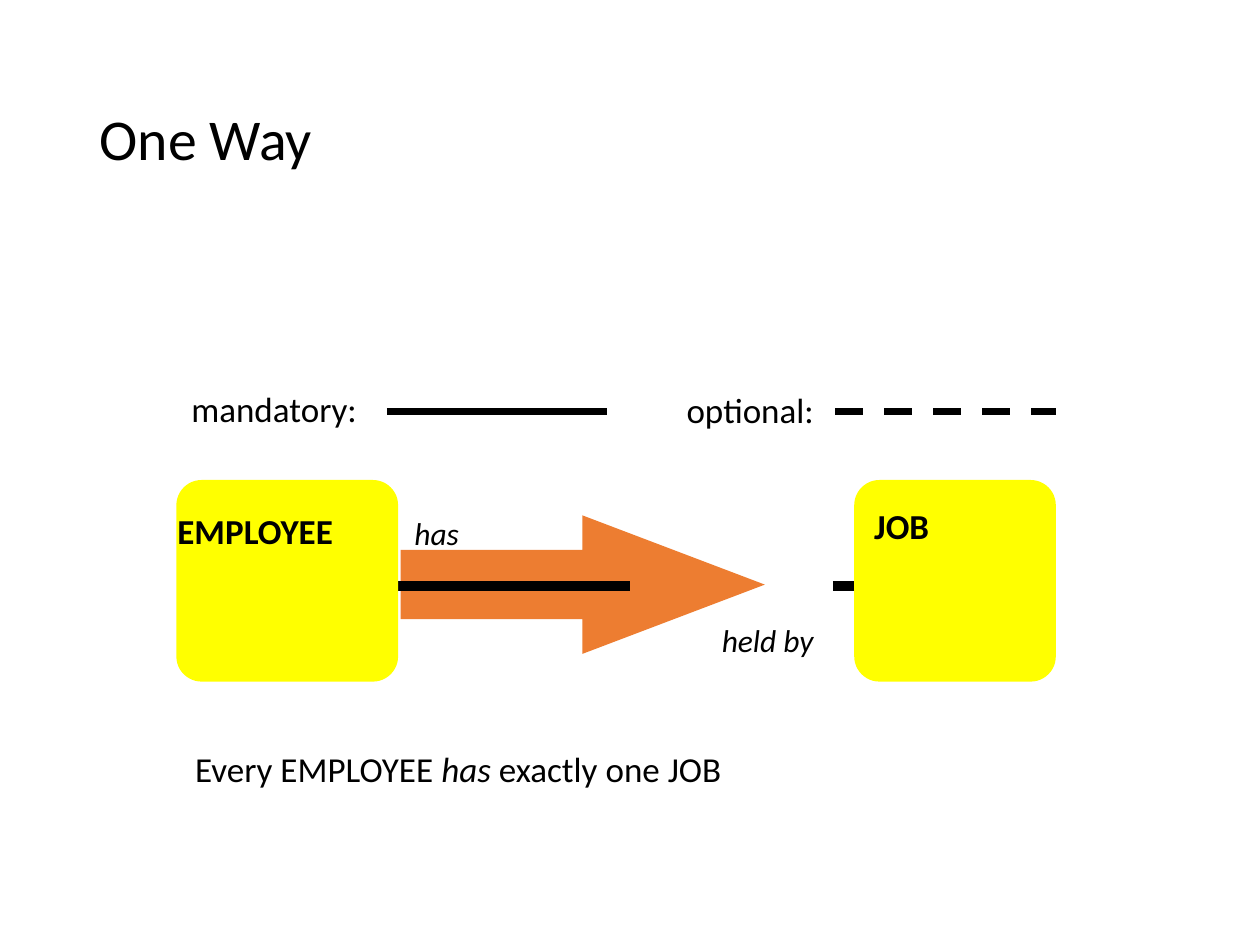
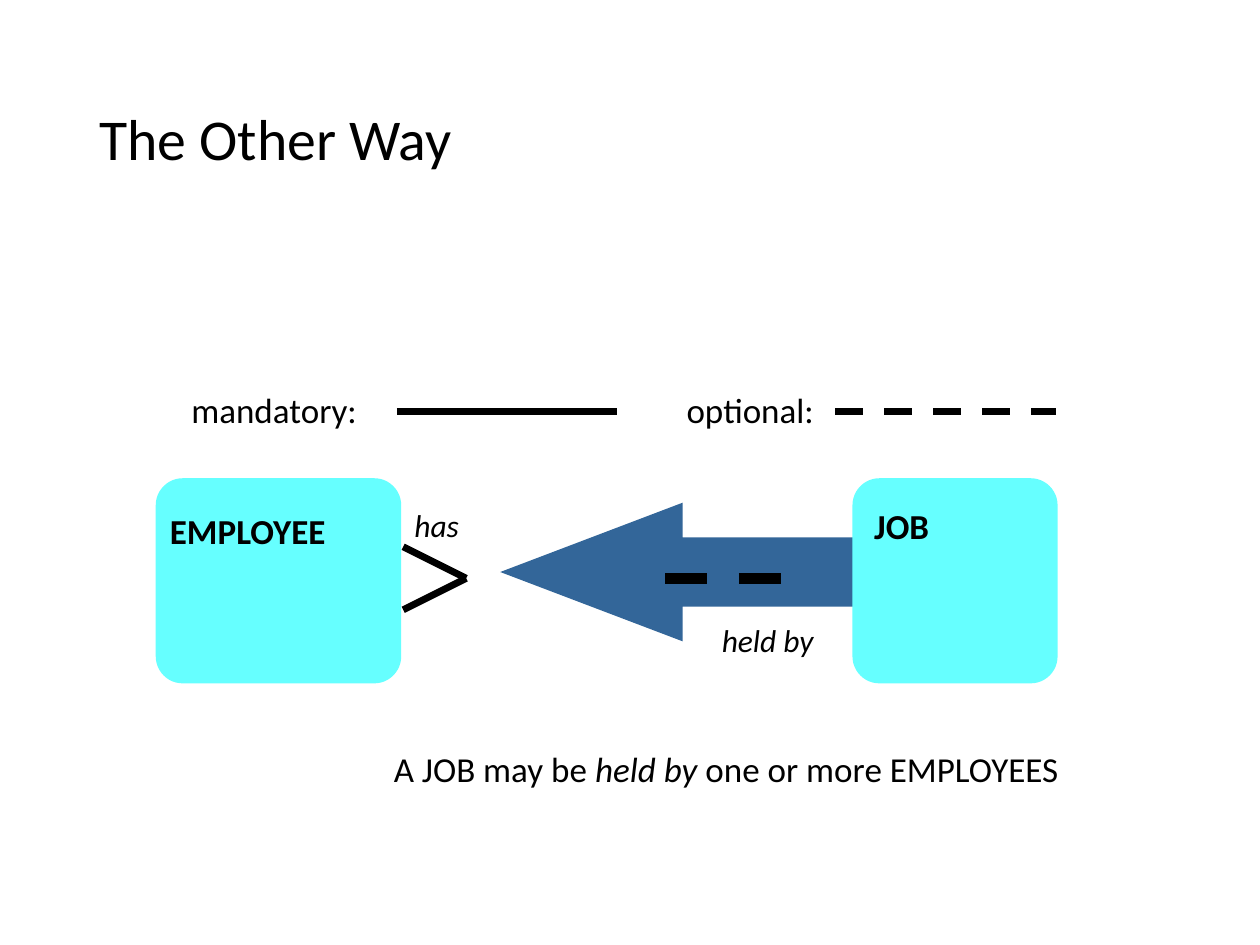
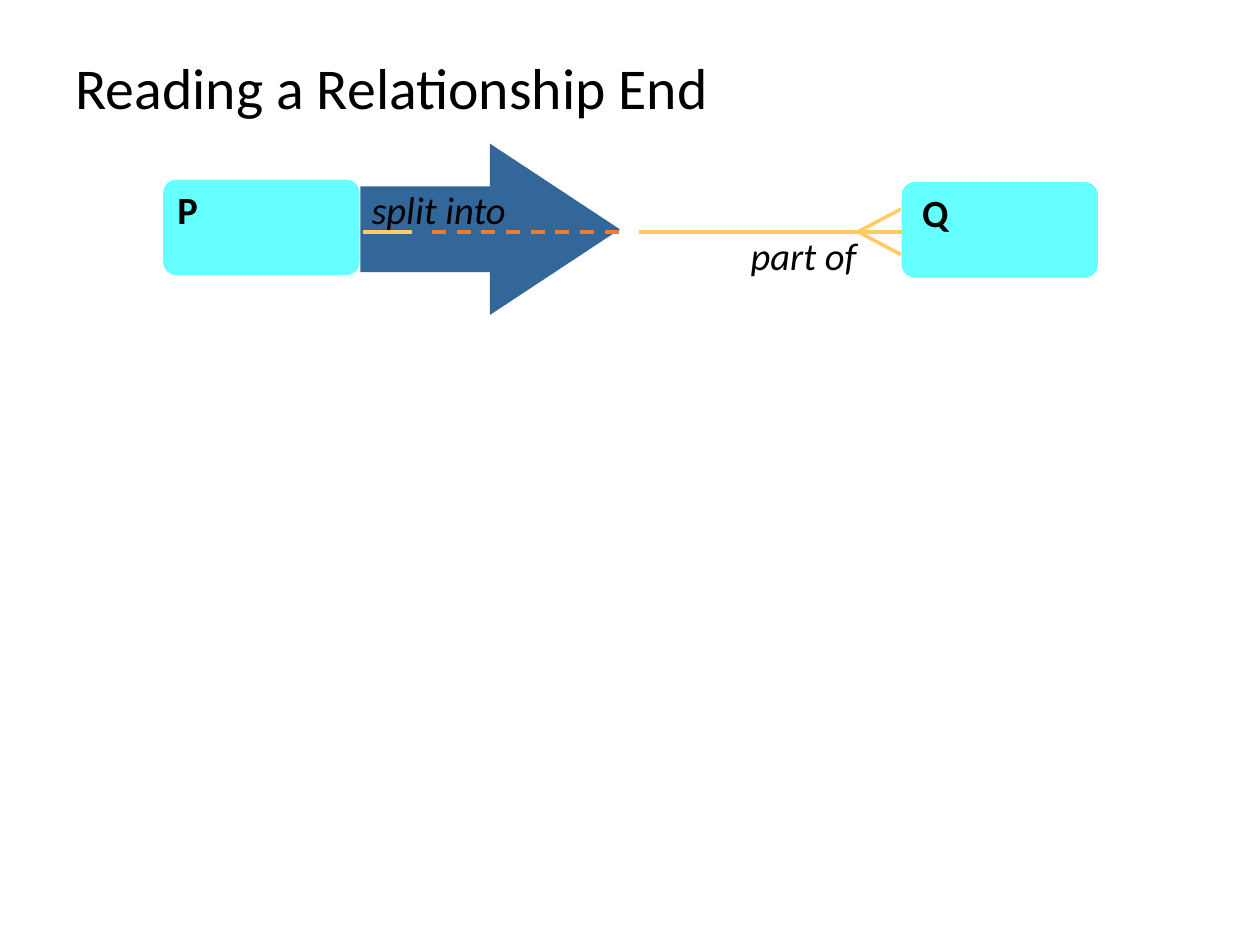
"""Build three slides that explain how to read an entity relationship."""
from lxml import etree
from pptx import Presentation
from pptx import util as u
from pptx.dml.color import RGBColor
from pptx.enum import dml, shapes, text
from pptx.oxml import ns

COLORS = {
    "ink": "000000",
    "yellow": "FFFF00",
    "cyan": "66FFFF",
    "orange": "ED7D31",
    "blue": "336699",
    "gold": "FFCB65",
}
FONT = "Calibri"
TITLE_SIZE = 33
TITLE_BOX = (0.69, 0.4, 8.62, 1.45)
CAPTION_BOX = (1.45, 5.91, 7.05, 0.42)
JOB_BOX = (6.78, 3.81, 1.6, 1.6)
JOB_LABEL = (6.84, 3.98, 0.83, 0.42)
HELD_BY_LABEL = (5.63, 4.9, 1.62, 0.39)
RIGHT = shapes.MSO_SHAPE.RIGHT_ARROW
LEFT = shapes.MSO_SHAPE.LEFT_ARROW


def color(name):
    """Return the named colour."""
    return RGBColor.from_string(COLORS[name])


def inches(box):
    """Turn a tuple of numbers into lengths."""
    return [u.Inches(value) for value in box]


def format_span(span, size, bold=False, italic=False):
    """Give a run the deck's font."""
    span.font.name = FONT
    span.font.size = u.Pt(size)
    span.font.bold = bold
    span.font.italic = italic
    span.font.color.rgb = color("ink")


def add_page(deck, title, box=TITLE_BOX):
    """Add a title-only slide and place its title."""
    page = deck.slides.add_slide(deck.slide_layouts[5])
    holder = page.shapes.title
    holder.left, holder.top, holder.width, holder.height = inches(box)
    frame = holder.text_frame
    frame.text = title
    frame.auto_size = text.MSO_AUTO_SIZE.NONE
    frame.vertical_anchor = text.MSO_ANCHOR.MIDDLE
    para = frame.paragraphs[0]
    para.alignment = text.PP_ALIGN.LEFT
    para.line_spacing = 0.9
    format_span(para.runs[0], TITLE_SIZE)
    return page


def add_label(canvas, box, parts, size=20, bold=False, italic=False,
              align=text.PP_ALIGN.LEFT):
    """Add a line of text; every second part has the opposite slant."""
    frame = canvas.add_textbox(*inches(box)).text_frame
    frame.word_wrap = True
    para = frame.paragraphs[0]
    para.alignment = align
    para.line_spacing = 0.95
    for index, part in enumerate(parts):
        span = para.add_run()
        span.text = part
        format_span(span, size, bold, italic != (index % 2 == 1))


def add_line(canvas, start, end, width, stroke="ink", dashed=False):
    """Draw a straight line between two points."""
    line = canvas.add_connector(shapes.MSO_CONNECTOR.STRAIGHT,
                                *inches(start + end))
    line.line.color.rgb = color(stroke)
    line.line.width = u.Pt(width)
    if dashed:
        line.line.dash_style = dml.MSO_LINE.DASH
    etree.SubElement(line._element.spPr, ns.qn("a:effectLst"))


def add_block(canvas, kind, box, fill, adjustments, outlined=False):
    """Add a filled preset shape, with an outline of its own colour if asked."""
    block = canvas.add_shape(kind, *inches(box))
    block.shadow.inherit = False
    block.fill.solid()
    block.fill.fore_color.rgb = color(fill)
    for index, value in enumerate(adjustments):
        block.adjustments[index] = value
    if outlined:
        block.line.color.rgb = color(fill)
        block.line.width = u.Pt(2)
    else:
        block.line.fill.background()


def add_entity(canvas, box, label_box, name, fill, size=20, outlined=True):
    """Add a rounded entity box and its bold name."""
    add_block(canvas, shapes.MSO_SHAPE.ROUNDED_RECTANGLE, box, fill, [0.125],
              outlined)
    add_label(canvas, label_box, [name], size, bold=True)


def add_legend(canvas, solid_left, label_top):
    """Explain solid and dashed lines."""
    length, middle = 1.75, 3.27
    entries = [("mandatory:", 1.42, label_top, 1.75, solid_left, False),
               ("optional:", 5.35, 3.06, 1.62, 6.63, True)]
    for name, left, top, width, line_left, dashed in entries:
        add_label(canvas, (left, top, width, 0.42), [name])
        add_line(canvas, (line_left, middle), (line_left + length, middle), 4,
                 dashed=dashed)


def add_job_side(canvas, fill, outlined):
    """Add the JOB entity with the name of its relationship end."""
    add_entity(canvas, JOB_BOX, JOB_LABEL, "JOB", fill, outlined=outlined)
    add_label(canvas, HELD_BY_LABEL, ["held by"], 18, italic=True)


def build_one_way(deck):
    """Read the relationship from EMPLOYEE to JOB."""
    page = add_page(deck, "One Way")
    canvas = page.shapes
    middle = 4.65
    add_block(canvas, RIGHT, (3.18, 4.09, 2.89, 1.1), "orange", [0.5, 1.317])
    add_line(canvas, (6.61, middle), (6.87, middle), 6, dashed=True)
    add_line(canvas, (3.14, middle), (5, middle), 6)
    add_label(canvas, (3.19, 4.05, 1.62, 0.39), ["has"], 18, italic=True)
    add_entity(canvas, (1.4, 3.81, 1.76, 1.6), (1.31, 4.02, 2.27, 0.42),
               "EMPLOYEE", "yellow", outlined=False)
    add_job_side(canvas, "yellow", outlined=False)
    add_legend(canvas, solid_left=3.07, label_top=3.05)
    add_label(canvas, CAPTION_BOX,
              ["Every EMPLOYEE ", "has", " exactly one JOB"])


def build_other_way(deck):
    """Read the relationship from JOB to EMPLOYEE."""
    page = add_page(deck, "The Other Way")
    canvas = page.shapes
    middle = 4.59
    add_block(canvas, LEFT, (3.97, 3.99, 2.89, 1.1), "blue", [0.5, 1.316])
    add_label(canvas, (3.19, 3.99, 1.62, 0.39), ["has"], 18, italic=True)
    add_entity(canvas, (1.25, 3.81, 1.92, 1.6), (1.25, 4.02, 2.08, 0.42),
               "EMPLOYEE", "cyan")
    add_job_side(canvas, "cyan", outlined=True)
    crow_foot = canvas.add_group_shape().shapes
    for offset in (-0.25, 0.25):
        add_line(crow_foot, (3.2, middle + offset), (3.7, middle), 4)
    add_line(canvas, (5.28, middle), (6.44, middle), 6, dashed=True)
    add_legend(canvas, solid_left=3.15, label_top=3.06)
    add_label(canvas, CAPTION_BOX,
              ["A JOB may be ", "held by", " one or more EMPLOYEES"],
              align=text.PP_ALIGN.RIGHT)


def add_relationship(canvas, middle):
    """Draw the line from P to Q, ending in a crow's foot."""
    group = canvas.add_group_shape().shapes
    add_line(group, (7.16, middle), (5.07, middle), 2, "gold")
    for offset in (-0.18, 0.18):
        add_line(group, (6.81, middle), (7.15, middle + offset), 2, "gold")
    add_line(group, (3.27, middle), (2.88, middle), 2, "gold")
    add_line(group, (4.91, middle), (3.39, middle), 2, "orange", dashed=True)


def build_relationship_end(deck):
    """Show one relationship end between P and Q."""
    page = add_page(deck, "Reading a Relationship End", (0.5, 0.3, 8.17, 0.84))
    canvas = page.shapes
    add_block(canvas, RIGHT, (2.86, 1.14, 2.06, 1.36), "blue", [0.5, 0.758])
    add_entity(canvas, (1.31, 1.44, 1.53, 0.73), (1.31, 1.45, 0.67, 0.45),
               "P", "cyan", 22)
    add_label(canvas, (2.85, 1.45, 1.69, 0.45), ["split into"], 22, italic=True)
    add_entity(canvas, (7.17, 1.46, 1.53, 0.73), (7.22, 1.48, 0.67, 0.45),
               "Q", "cyan", 22)
    add_label(canvas, (5.86, 1.82, 1.69, 0.45), ["part of"], 22, italic=True)
    add_relationship(canvas, 1.84)


def main():
    """Build and save the deck."""
    deck = Presentation()
    deck.slide_width, deck.slide_height = u.Inches(10), u.Inches(7.5)
    for build in (build_one_way, build_other_way, build_relationship_end):
        build(deck)
    deck.save("out.pptx")


main()
